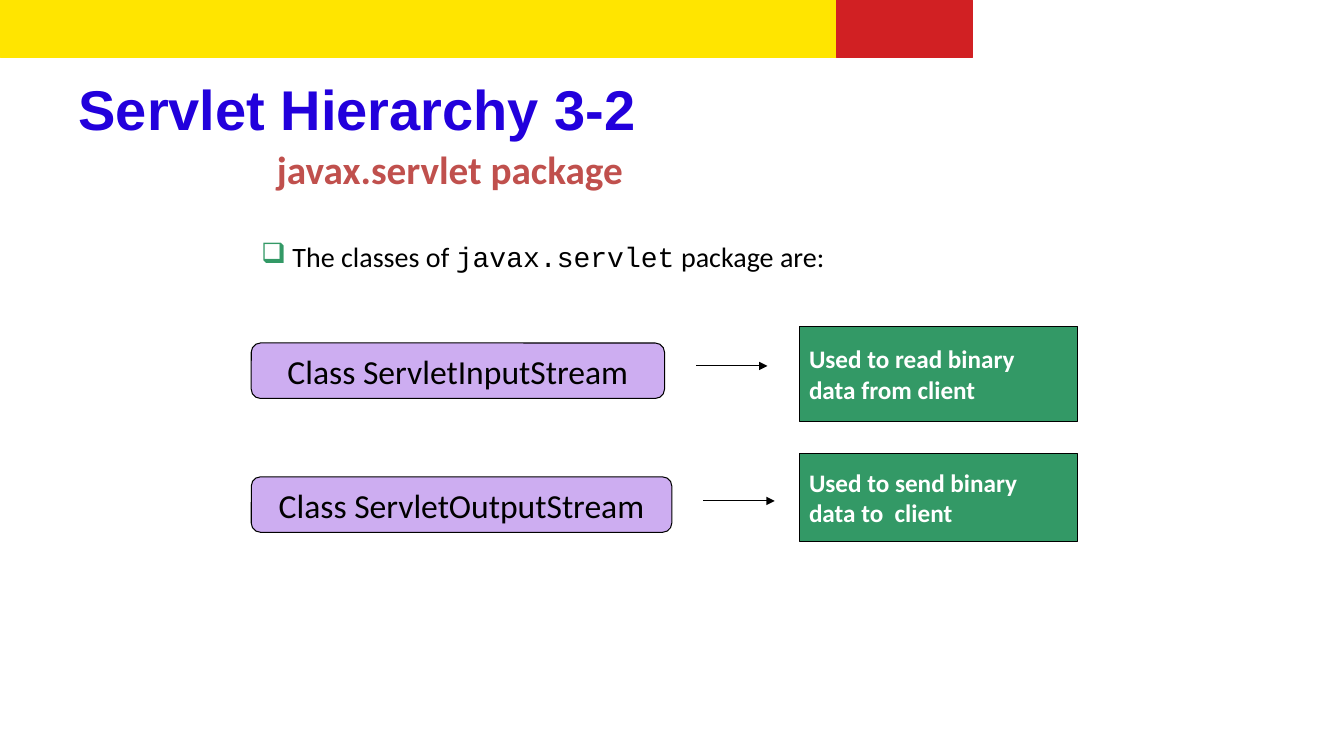
from lxml.etree import SubElement
from pptx import Presentation
from pptx.dml.color import RGBColor
from pptx.enum.shapes import MSO_CONNECTOR, MSO_SHAPE
from pptx.enum.text import MSO_ANCHOR, PP_ALIGN
from pptx.oxml.ns import qn
from pptx.util import Pt

YELLOW, RED, BLUE, BRICK = "FFE500", "D12023", "2200DC", "C0504D"
LILAC, GREEN, BLACK, WHITE = "CDADF1", "339966", "000000", "FFFFFF"

TITLE = {"name": "Arial", "size": Pt(40), "bold": True}
SUBTITLE = {"name": "Calibri", "size": Pt(28), "bold": True}
BODY = {"name": "Calibri", "size": Pt(20)}
CODE = {"name": "Courier New", "size": Pt(20)}
CLASS_NAME = {"name": "Calibri", "size": Pt(24)}
PURPOSE = {"name": "Calibri", "size": Pt(18), "bold": True}

CLASS_LEFT, CLASS_HEIGHT = 179.5, 39.6
ARROW_GAP, ARROW_LENGTH = 22.5, 51
PURPOSE_LEFT, PURPOSE_WIDTH = 570.8, 199
CLASSES = [
    ("Class ServletInputStream", 245, 295.2, 244.8, 261.4,
     ["Used to read binary", "data from client"], 233, 68),
    ("Class ServletOutputStream", 340.6, 300.4, 340.6, 357.8,
     ["Used to send binary", "data to  client"], 324, 62.6),
]


def color(hex_code):
    """Turn a hex string into a colour."""
    return RGBColor.from_string(hex_code)


def add_run(paragraph, text, font_format, ink):
    """Append a formatted run to a paragraph."""
    run = paragraph.add_run()
    run.text = text
    for attribute, value in font_format.items():
        setattr(run.font, attribute, value)
    run.font.color.rgb = color(ink)


def add_box(slide, preset, box, fill, outline, line_width):
    """Add a filled, outlined shape without shadow."""
    shape = slide.shapes.add_shape(preset, *map(Pt, box))
    shape.shadow.inherit = False
    shape.fill.solid()
    shape.fill.fore_color.rgb = color(fill)
    shape.line.color.rgb = color(outline)
    shape.line.width = Pt(line_width)
    return shape


def add_labelled_box(slide, preset, box, fill, lines, font_format, ink, align):
    """Add a box with one paragraph for each line of text."""
    frame = add_box(slide, preset, box, fill, BLACK, 0.75).text_frame
    frame.word_wrap = True
    frame.vertical_anchor = MSO_ANCHOR.MIDDLE
    for index, line in enumerate(lines):
        paragraph = frame.add_paragraph() if index else frame.paragraphs[0]
        paragraph.alignment = align
        add_run(paragraph, line, font_format, ink)


def add_text(slide, box, runs, ink, frame_format):
    """Add a one-paragraph text box and return the paragraph."""
    frame = slide.shapes.add_textbox(*map(Pt, box)).text_frame
    for attribute, value in frame_format.items():
        setattr(frame, attribute, value)
    for text, font_format in runs:
        add_run(frame.paragraphs[0], text, font_format, ink)
    return frame.paragraphs[0]


def add_bullet(paragraph, symbol, ink):
    """Put a coloured bullet in front of a paragraph."""
    properties = paragraph._p.get_or_add_pPr()
    bullet_color = SubElement(properties, qn("a:buClr"))
    SubElement(bullet_color, qn("a:srgbClr"), val=ink)
    SubElement(properties, qn("a:buChar"), char=symbol)


def add_arrow(slide, left, y):
    """Add a horizontal arrow pointing right."""
    arrow = slide.shapes.add_connector(
        MSO_CONNECTOR.STRAIGHT, Pt(left), Pt(y), Pt(left + ARROW_LENGTH), Pt(y))
    arrow.line.color.rgb = color(BLACK)
    arrow.line.width = Pt(0.75)
    SubElement(arrow.line._get_or_add_ln(), qn("a:tailEnd"), type="triangle")
    SubElement(arrow._element.spPr, qn("a:effectLst"))


def add_class_row(slide, name, top, width, arrow_y, purpose, purpose_top, purpose_height):
    """Add a class, an arrow and the purpose of the class."""
    add_labelled_box(slide, MSO_SHAPE.FLOWCHART_ALTERNATE_PROCESS,
                     (CLASS_LEFT, top, width, CLASS_HEIGHT),
                     LILAC, [name], CLASS_NAME, BLACK, PP_ALIGN.CENTER)
    add_arrow(slide, CLASS_LEFT + width + ARROW_GAP, arrow_y)
    add_labelled_box(slide, MSO_SHAPE.RECTANGLE,
                     (PURPOSE_LEFT, purpose_top, PURPOSE_WIDTH, purpose_height),
                     GREEN, purpose, PURPOSE, WHITE, PP_ALIGN.LEFT)


def main():
    """Build and save the slide."""
    deck = Presentation()
    deck.slide_width, deck.slide_height = Pt(960), Pt(540)
    slide = deck.slides.add_slide(deck.slide_layouts[6])

    for left, width, band in ((0, 597.6, YELLOW), (597.6, 97.2, RED)):
        add_box(slide, MSO_SHAPE.RECTANGLE, (left, 0, width, 41), band, band, 0.25)

    no_margins = dict.fromkeys(
        ("margin_left", "margin_top", "margin_right", "margin_bottom"), 0)
    add_text(slide, (56.2, 53.3, 847.4, 48.2), [("Servlet Hierarchy 3-2", TITLE)],
             BLUE, {"word_wrap": True, **no_margins})
    add_text(slide, (190.8, 100, 408.2, 41), [("javax.servlet package", SUBTITLE)],
             BRICK, {"word_wrap": True})
    intro = add_text(
        slide, (179.5, 167.8, 420.5, 31.7),
        [(" The classes of ", BODY), ("javax.servlet", CODE), (" package are:", BODY)],
        BLACK, {"word_wrap": False})
    add_bullet(intro, "❑", GREEN)

    for name, top, width, arrow_y, purpose, purpose_top, purpose_height in (
            (name, top, width, arrow_y, purpose, purpose_top, purpose_height)
            for name, top, width, _, arrow_y, purpose, purpose_top, purpose_height in CLASSES):
        add_class_row(slide, name, top, width, arrow_y, purpose, purpose_top, purpose_height)
    deck.save("out.pptx")


if __name__ == "__main__":
    main()
